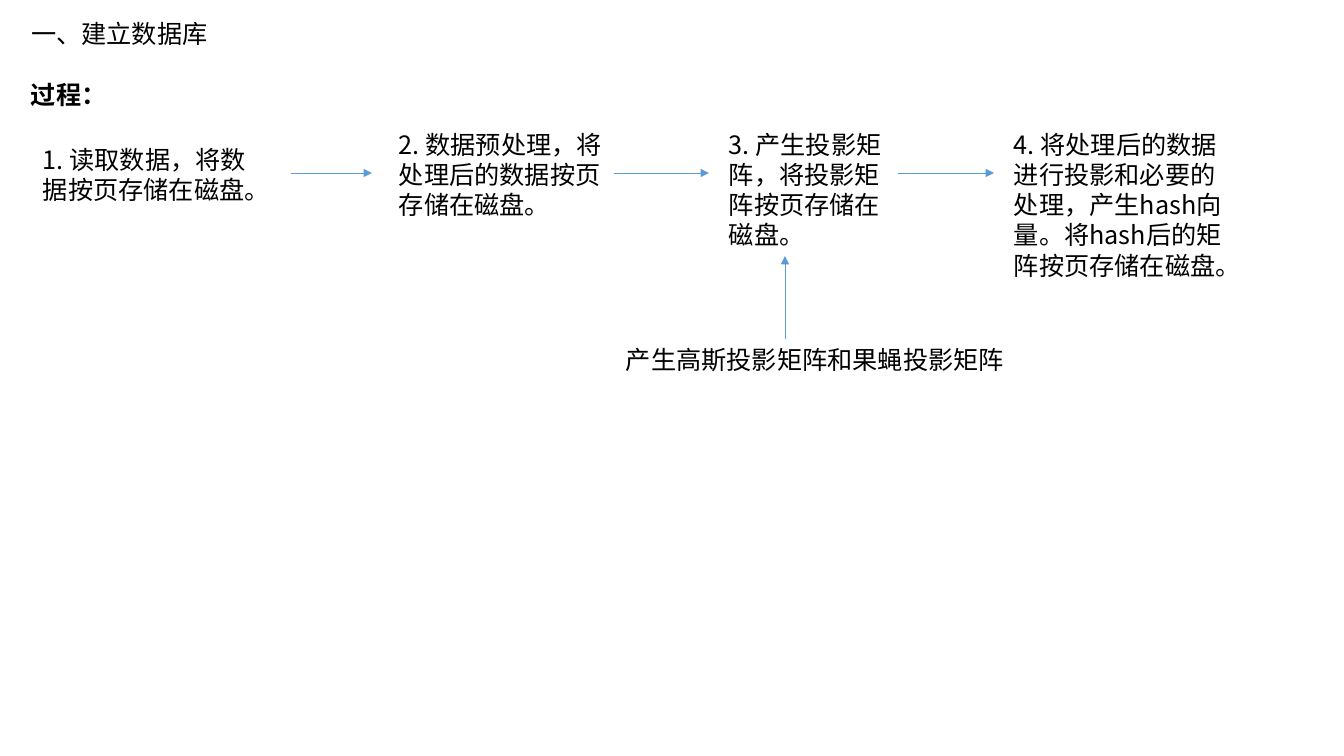
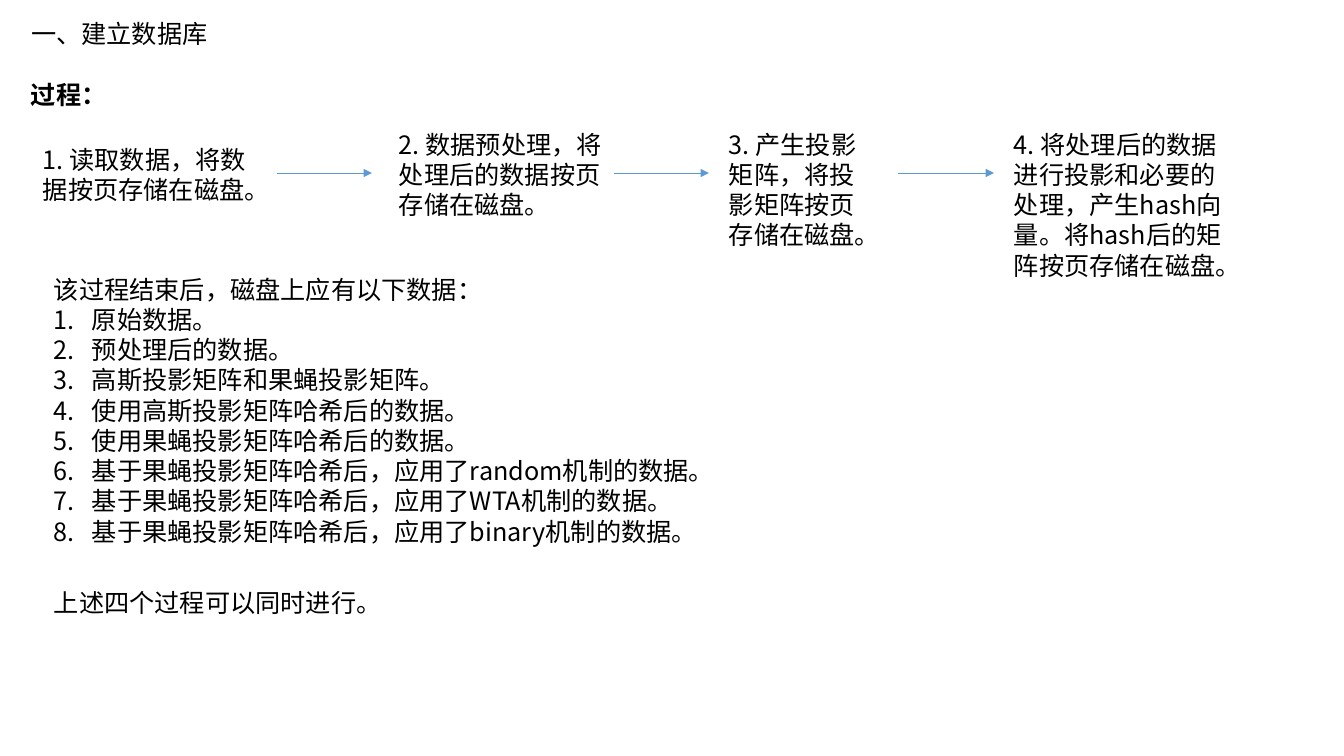
from dataclasses import dataclass

from lxml.etree import SubElement
from pptx import Presentation
from pptx.dml.color import RGBColor
from pptx.enum.shapes import MSO_CONNECTOR
from pptx.enum.text import MSO_ANCHOR, MSO_AUTO_SIZE as AutoSize, PP_ALIGN
from pptx.oxml import parse_xml
from pptx.oxml.ns import nsdecls, qn
from pptx.util import Emu, Pt

BLACK = RGBColor(0x00, 0x00, 0x00)
BLUE = RGBColor(0x5B, 0x9B, 0xD5)
FONT = "Noto Sans CJK SC"
FONT_SIZE = Pt(18)
EMU_PER_PIXEL = 914400 / 100.8
TITLE_ONLY = 5
LIST_INDENT = 38


@dataclass(frozen=True)
class Box:
    left: int
    top: int
    width: int
    height: int


@dataclass(frozen=True)
class Note:
    box: Box
    text: str
    bold: bool = False


@dataclass(frozen=True)
class Arrow:
    start: tuple[int, int]
    end: tuple[int, int]


def px(pixels: float) -> Emu:
    return Emu(round(pixels * EMU_PER_PIXEL))


# Content shared by both slides
TITLE = Note(Box(21, 13, 281, 40), "一、建立数据库")
HEADING = Note(Box(21, 74, 281, 40), "过程：", bold=True)
READ = Note(Box(33, 139, 243, 72), "1. 读取数据，将数据按页存储在磁盘。")
PREPROCESS = Note(Box(389, 124, 243, 102),
                  "2. 数据预处理，将处理后的数据按页存储在磁盘。")
PROJECT_TEXT = "3. 产生投影矩阵，将投影矩阵按页存储在磁盘。"
HASH = Note(Box(1004, 124, 243, 163),
            "4. 将处理后的数据进行投影和必要的处理，产生hash向量。"
            "将hash后的矩阵按页存储在磁盘。")
FLOW_Y = 173

# Content of single slides
MATRICES = Note(Box(616, 339, 409, 40), "产生高斯投影矩阵和果蝇投影矩阵")
MATRICES_ARROW = Arrow((785, 339), (785, 256))
RESULTS = Note(Box(44, 269, 814, 285), "该过程结束后，磁盘上应有以下数据：")
RESULT_ITEMS = (
    "原始数据。",
    "预处理后的数据。",
    "高斯投影矩阵和果蝇投影矩阵。",
    "使用高斯投影矩阵哈希后的数据。",
    "使用果蝇投影矩阵哈希后的数据。",
    *(f"基于果蝇投影矩阵哈希后，应用了{mechanism}机制的数据。"
      for mechanism in ("random", "WTA", "binary")),
)
CLOSING = Note(Box(44, 582, 826, 40), "上述四个过程可以同时进行。")


def place(shape, box: Box) -> None:
    shape.left, shape.top = px(box.left), px(box.top)
    shape.width, shape.height = px(box.width), px(box.height)


def format_paragraph(paragraph, bold: bool = False) -> None:
    paragraph.alignment = PP_ALIGN.LEFT
    font = paragraph.font
    font.name, font.size, font.bold = FONT, FONT_SIZE, bold
    font.color.rgb = BLACK
    # East Asian typeface
    defaults = paragraph._p.get_or_add_pPr().find(qn("a:defRPr"))
    SubElement(defaults, qn("a:ea")).set("typeface", FONT)


def number_paragraph(paragraph) -> None:
    properties = paragraph._p.get_or_add_pPr()
    properties.set("marL", str(px(LIST_INDENT)))
    properties.set("indent", str(-px(LIST_INDENT)))
    properties.insert(0, parse_xml(
        f'<a:buAutoNum {nsdecls("a")} type="arabicPeriod"/>'))


def fill_text(shape, note: Note) -> None:
    place(shape, note.box)
    frame = shape.text_frame
    frame.word_wrap = True
    frame.auto_size = AutoSize.SHAPE_TO_FIT_TEXT
    frame.vertical_anchor = MSO_ANCHOR.TOP
    frame.text = note.text
    format_paragraph(frame.paragraphs[0], note.bold)


def add_note(slide, note: Note):
    shape = slide.shapes.add_textbox(0, 0, 0, 0)
    fill_text(shape, note)
    return shape


def add_numbered_note(slide, note: Note, items: tuple[str, ...]) -> None:
    frame = add_note(slide, note).text_frame
    for item in items:
        paragraph = frame.add_paragraph()
        paragraph.text = item
        format_paragraph(paragraph)
        number_paragraph(paragraph)


def add_arrow(slide, arrow: Arrow) -> None:
    connector = slide.shapes.add_connector(
        MSO_CONNECTOR.STRAIGHT, *map(px, arrow.start + arrow.end))
    connector.line.color.rgb = BLUE
    connector.line.width = Pt(0.5)
    SubElement(connector.line._get_or_add_ln(),
               qn("a:tailEnd")).set("type", "triangle")
    SubElement(connector._element.spPr, qn("a:effectLst"))


def add_process_slide(presentation, project_width: int, first_arrow_x: int):
    """Add a slide with the title and the four-step flow."""
    slide = presentation.slides.add_slide(
        presentation.slide_layouts[TITLE_ONLY])
    fill_text(slide.shapes.title, TITLE)
    project = Note(Box(719, 124, project_width, 132), PROJECT_TEXT)
    for note in (HEADING, READ, PREPROCESS, project, HASH):
        add_note(slide, note)
    for start, end in ((first_arrow_x, 372), (614, 709), (898, 994)):
        add_arrow(slide, Arrow((start, FLOW_Y), (end, FLOW_Y)))
    return slide


presentation = Presentation()
presentation.slide_width, presentation.slide_height = px(1344), px(756)

# Slide 1: where the projection matrices come from
slide = add_process_slide(presentation, project_width=179, first_arrow_x=291)
add_note(slide, MATRICES)
add_arrow(slide, MATRICES_ARROW)

# Slide 2: data left on disk
slide = add_process_slide(presentation, project_width=169, first_arrow_x=277)
add_numbered_note(slide, RESULTS, RESULT_ITEMS)
add_note(slide, CLOSING)

presentation.save("out.pptx")
